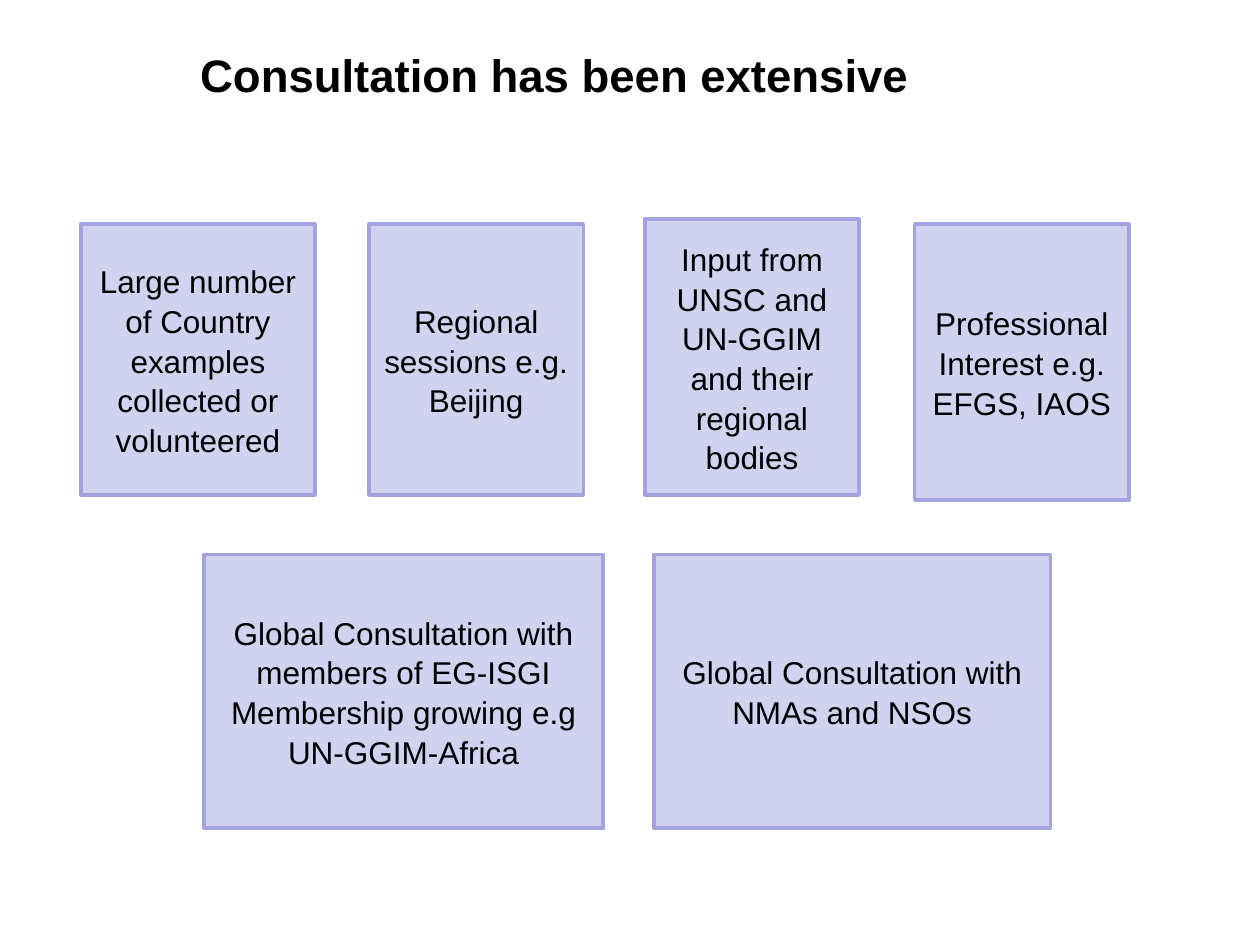
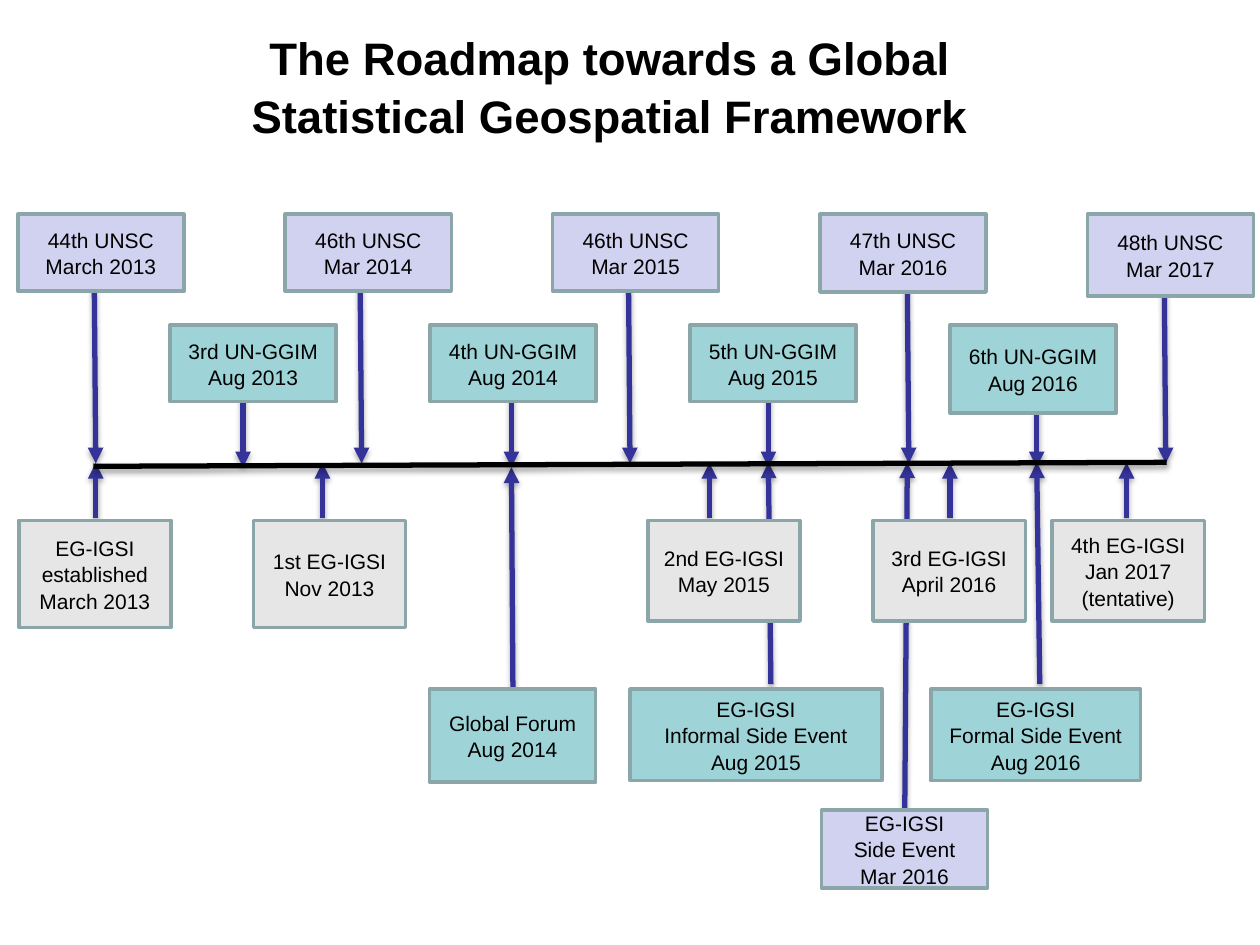
from lxml.etree import SubElement
from pptx import Presentation
from pptx.dml.color import RGBColor
from pptx.enum.shapes import MSO_CONNECTOR, MSO_SHAPE
from pptx.enum.text import MSO_ANCHOR, MSO_AUTO_SIZE, PP_ALIGN
from pptx.oxml.ns import qn
from pptx.util import Cm, Pt

BLACK = RGBColor(0x00, 0x00, 0x00)
NAVY = RGBColor(0x33, 0x33, 0x99)
LAVENDER = RGBColor(0xD1, 0xD1, 0xF0)
VIOLET = RGBColor(0xA3, 0xA3, 0xE0)
TEAL = RGBColor(0x9E, 0xD3, 0xD7)
GREY = RGBColor(0xE6, 0xE6, 0xE6)
SLATE = RGBColor(0x8A, 0xA6, 0xA8)

FONT = "Arial"
TITLE_SIZE = 26
LINE_SPACING = 1.05


class Deck:
    """Holds the presentation, its style and the current slide."""

    def __init__(self):
        self.prs = Presentation()
        self.prs.slide_width, self.prs.slide_height = Cm(25.4), Cm(19.05)
        self.s = None

    def new_slide(self):
        self.s = self.prs.slides.add_slide(self.prs.slide_layouts[5])

    def add_text(self, tf, lines, size, align, bold=False):
        for i, line in enumerate(lines):
            p = tf.paragraphs[0] if i == 0 else tf.add_paragraph()
            p.alignment = align
            p.line_spacing = LINE_SPACING
            r = p.add_run()
            r.text = line
            r.font.name, r.font.size, r.font.bold = FONT, Pt(size), bold
            r.font.color.rgb = BLACK

    def title(self, text, left, top, width, height, align):
        sp = self.s.shapes.title
        sp.left, sp.top, sp.width, sp.height = map(Cm, (left, top, width, height))
        tf = sp.text_frame
        tf.auto_size = MSO_AUTO_SIZE.NONE
        tf.vertical_anchor = MSO_ANCHOR.TOP
        self.add_text(tf, [text], TITLE_SIZE, align, bold=True)

    def box(self, lines, left, top, width, height, fill, border, size):
        sp = self.s.shapes.add_shape(
            MSO_SHAPE.RECTANGLE, Cm(left), Cm(top), Cm(width), Cm(height))
        sp.shadow.inherit = False
        sp.fill.solid()
        sp.fill.fore_color.rgb = fill
        sp.line.color.rgb = border
        sp.line.width = Pt(2)
        tf = sp.text_frame
        tf.word_wrap = True
        tf.vertical_anchor = MSO_ANCHOR.MIDDLE
        self.add_text(tf, lines, size, PP_ALIGN.CENTER)

    def line(self, x1, y1, x2, y2, color=NAVY, arrow=True):
        cn = self.s.shapes.add_connector(
            MSO_CONNECTOR.STRAIGHT, Cm(x1), Cm(y1), Cm(x2), Cm(y2))
        cn.line.color.rgb = color
        cn.line.width = Pt(3)
        if arrow:
            ln = cn.element.spPr.find(qn("a:ln"))
            SubElement(ln, qn("a:tailEnd"), type="triangle")
        self.soft_shadow(cn)

    def soft_shadow(self, cn):
        effects = SubElement(cn.element.spPr, qn("a:effectLst"))
        shadow = SubElement(effects, qn("a:outerShdw"), blurRad=str(Pt(3.1)),
                            dist=str(Pt(1.8)), dir="5400000", rotWithShape="0")
        black = SubElement(shadow, qn("a:srgbClr"), val=str(BLACK))
        SubElement(black, qn("a:alpha"), val="35000")


def consultation(deck):
    deck.new_slide()
    deck.title("Consultation has been extensive", 3.78, 0.76, 20.35, 1.6, PP_ALIGN.LEFT)
    boxes = [
        (["Large number of Country examples collected or volunteered"],
         1.63, 4.52, 4.72, 5.46),
        (["Regional sessions e.g. Beijing"], 7.44, 4.52, 4.32, 5.46),
        (["Input from UNSC and UN-GGIM and their regional bodies"],
         13, 4.42, 4.32, 5.56),
        (["Professional Interest e.g. EFGS, IAOS"], 18.44, 4.52, 4.32, 5.56),
        (["Global Consultation with members of EG-ISGI",
          "Membership growing e.g UN-GGIM-Africa"], 4.11, 11.18, 8.05, 5.51),
        (["Global Consultation with NMAs and NSOs"], 13.18, 11.18, 8, 5.51),
    ]
    for lines, *place in boxes:
        deck.box(lines, *place, LAVENDER, VIOLET, 18)


def roadmap(deck):
    deck.new_slide()
    deck.title("The Roadmap towards a Global Statistical Geospatial Framework",
               3.81, 0.43, 16.97, 3.15, PP_ALIGN.CENTER)

    for x in (4.9, 10.31, 15.49, 20.9):
        deck.line(x, 7.32, x, 9.42)
    for x in (1.9, 7.26, 12.67, 18.29, 23.47):
        deck.line(x, 5.7, x + 0.03, 9.34)
    for x in (1.93, 6.5, 14.3, 19.15, 22.71):
        deck.line(x, 10.45, x, 9.33)
    for ends in ((10.34, 13.89, 10.31, 9.42), (15.54, 13.79, 15.49, 9.32),
                 (18.24, 16.33, 18.29, 9.32), (20.96, 13.79, 20.9, 9.32)):
        deck.line(*ends)
    deck.line(1.88, 9.4, 23.52, 9.32, BLACK, arrow=False)

    unsc = [("44th", "March 2013", 1.55), ("46th", "Mar 2014", 1.55),
            ("46th", "Mar 2015", 1.55), ("47th", "Mar 2016", 1.57),
            ("48th", "Mar 2017", 1.65)]
    for i, (session, date, height) in enumerate(unsc):
        deck.box([f"{session} UNSC", date], 0.36 + 5.39 * i, 4.32, 3.35, height,
                 LAVENDER, SLATE, 12)

    ggim = [("3rd", 2013, 1.55), ("4th", 2014, 1.55),
            ("5th", 2015, 1.55), ("6th", 2016, 1.78)]
    for i, (session, year, height) in enumerate(ggim):
        deck.box([f"{session} UN-GGIM", f"Aug {year}"], 3.43 + 5.24 * i, 6.55,
                 3.35, height, TEAL, SLATE, 12)

    expert_group = [("EG-IGSI established", "March 2013", 0.38, 2.16),
                    ("1st EG-IGSI", "Nov 2013", 5.11, 2.16),
                    ("2nd EG-IGSI", "May 2015", 13.06, 2.03),
                    ("3rd EG-IGSI", "April 2016", 17.6, 2.03),
                    ("4th EG-IGSI", "Jan 2017 (tentative)", 21.21, 2.03)]
    for meeting, date, left, height in expert_group:
        deck.box([meeting, date], left, 10.49, 3.07, height, GREY, SLATE, 12)

    events = [
        (["Global Forum", "Aug 2014"], 8.66, 13.89, 3.35, 1.88, TEAL),
        (["EG-IGSI", "Informal Side Event", "Aug 2015"], 12.7, 13.89, 5.08, 1.85, TEAL),
        (["EG-IGSI", "Formal Side Event", "Aug 2016"], 18.77, 13.89, 4.22, 1.85, TEAL),
        (["EG-IGSI", "Side Event", "Mar 2016"], 16.56, 16.33, 3.35, 1.57, LAVENDER),
    ]
    for lines, *place, fill in events:
        deck.box(lines, *place, fill, SLATE, 12)


def main():
    deck = Deck()
    consultation(deck)
    roadmap(deck)
    deck.prs.save("out.pptx")


if __name__ == "__main__":
    main()
